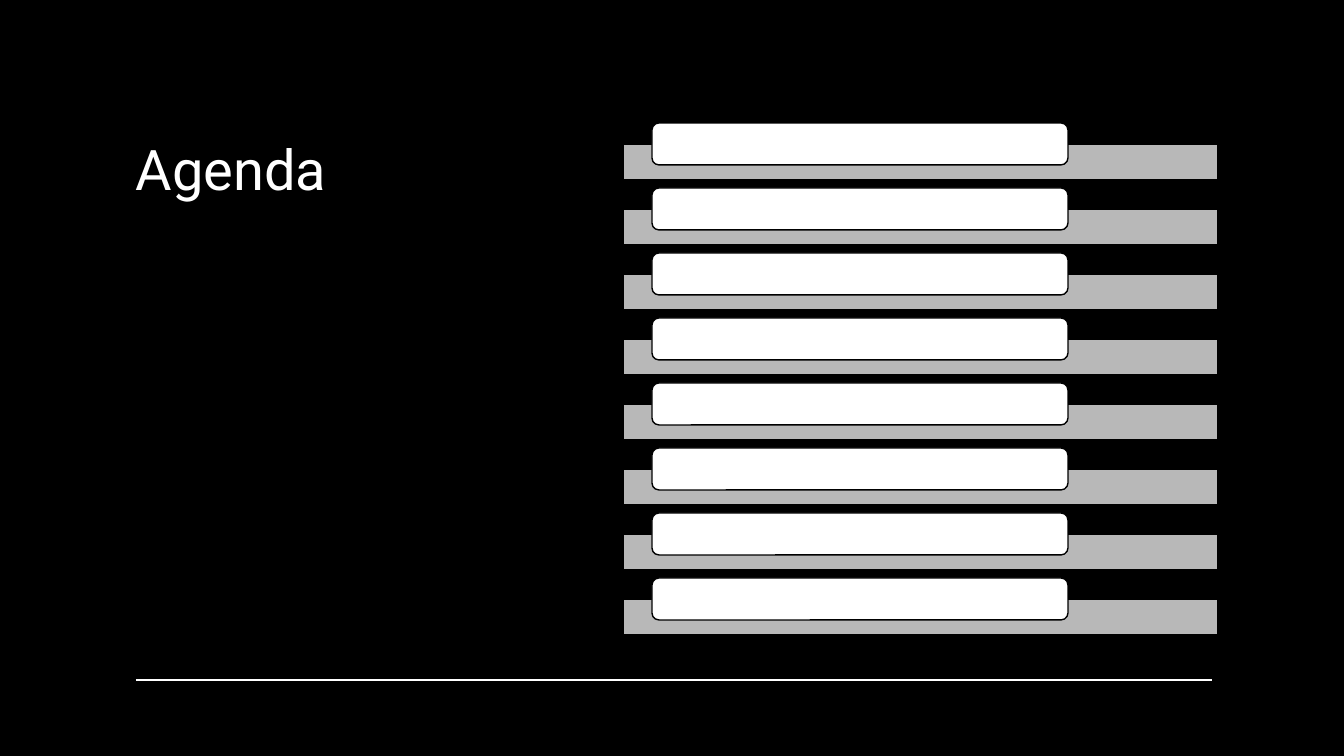
from lxml.etree import SubElement
from pptx import Presentation
from pptx.dml.color import RGBColor
from pptx.enum.shapes import MSO_CONNECTOR, MSO_SHAPE
from pptx.enum.text import MSO_ANCHOR
from pptx.oxml.ns import qn
from pptx.util import Pt

PX = 9071.43  # EMU per pixel
COLOURS = {"black": "000000", "white": "FFFFFF", "grey": "CCCCCC"}
ROW_COUNT = 8
ROW_PITCH = 65


def px(length):
    return round(length * PX)


def colour(name):
    return RGBColor.from_string(COLOURS[name])


def add_title(slide, text, left, top, width, height):
    box = slide.shapes.add_textbox(px(left), px(top), px(width), px(height))
    text_frame = box.text_frame
    text_frame.word_wrap = True
    text_frame.vertical_anchor = MSO_ANCHOR.TOP
    text_frame.text = text
    font = text_frame.paragraphs[0].runs[0].font
    font.name = "Roboto"
    font.size = Pt(40)
    font.color.rgb = colour("white")


def add_rule(slide, left, right, top):
    line = slide.shapes.add_connector(
        MSO_CONNECTOR.STRAIGHT, px(left), px(top), px(right), px(top))
    line.line.color.rgb = colour("white")
    line.line.width = Pt(1)
    SubElement(line._element.spPr, qn("a:effectLst"))


def add_block(slide, kind, left, top, width, height, fill):
    shape = slide.shapes.add_shape(kind, px(left), px(top), px(width), px(height))
    shape.shadow.inherit = False
    shape.fill.solid()
    shape.fill.fore_color.rgb = colour(fill)
    shape.line.color.rgb = colour("black")
    shape.line.width = Pt(1)
    return shape


def set_opacity(shape, percent):
    fill_colour = shape._element.spPr.find(qn("a:solidFill"))[0]
    SubElement(fill_colour, qn("a:alpha"), val=str(percent * 1000))


def add_agenda_row(slide, top):
    bar = add_block(slide, MSO_SHAPE.RECTANGLE, 623, top + 21, 595, 36, "grey")
    set_opacity(bar, 90)
    add_block(slide, MSO_SHAPE.ROUNDED_RECTANGLE, 652, top, 416, 42, "white")


def main():
    presentation = Presentation()
    presentation.slide_width = px(1344)
    presentation.slide_height = px(756)
    slide = presentation.slides.add_slide(presentation.slide_layouts[6])
    slide.background.fill.solid()
    slide.background.fill.fore_color.rgb = colour("black")

    # Title and bottom rule
    add_title(slide, "Agenda", 126, 130, 429, 277)
    add_rule(slide, 136, 1212, 680)

    # Agenda rows
    for row in range(ROW_COUNT):
        add_agenda_row(slide, 123 + row * ROW_PITCH)

    presentation.save("out.pptx")


if __name__ == "__main__":
    main()
